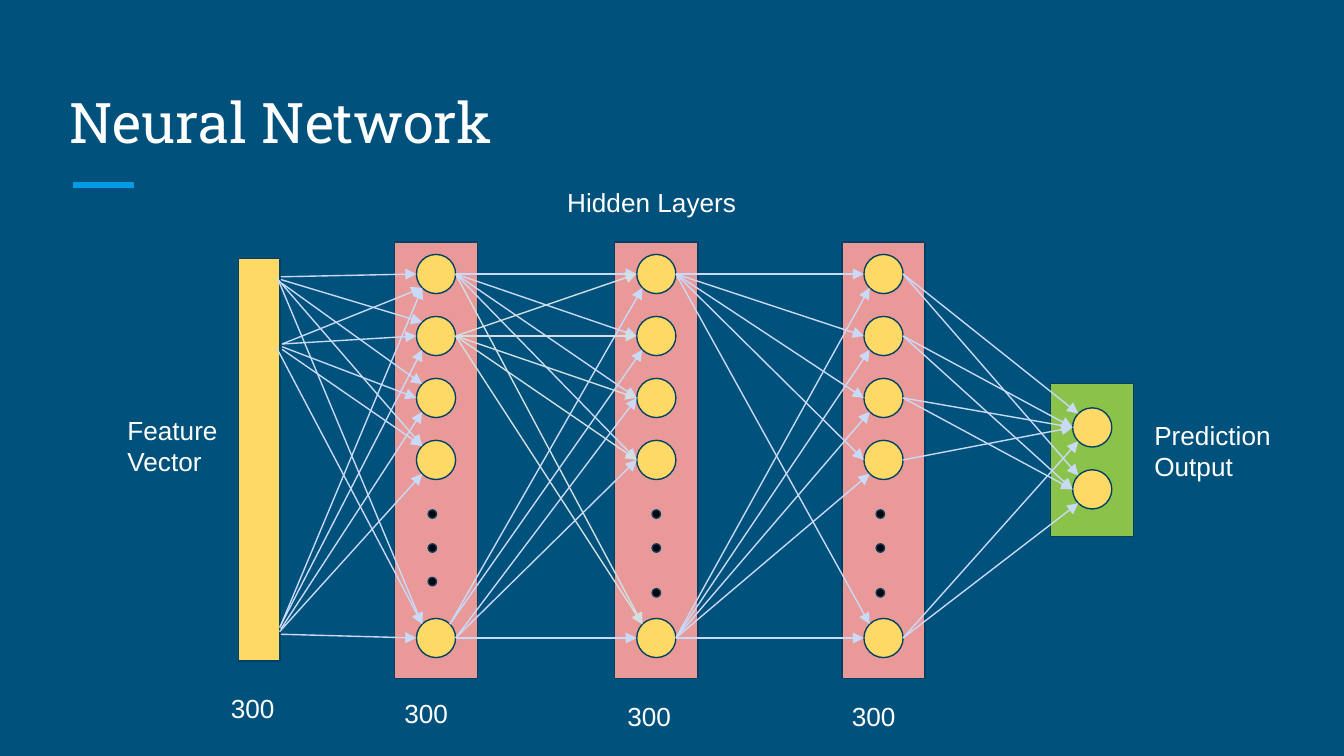
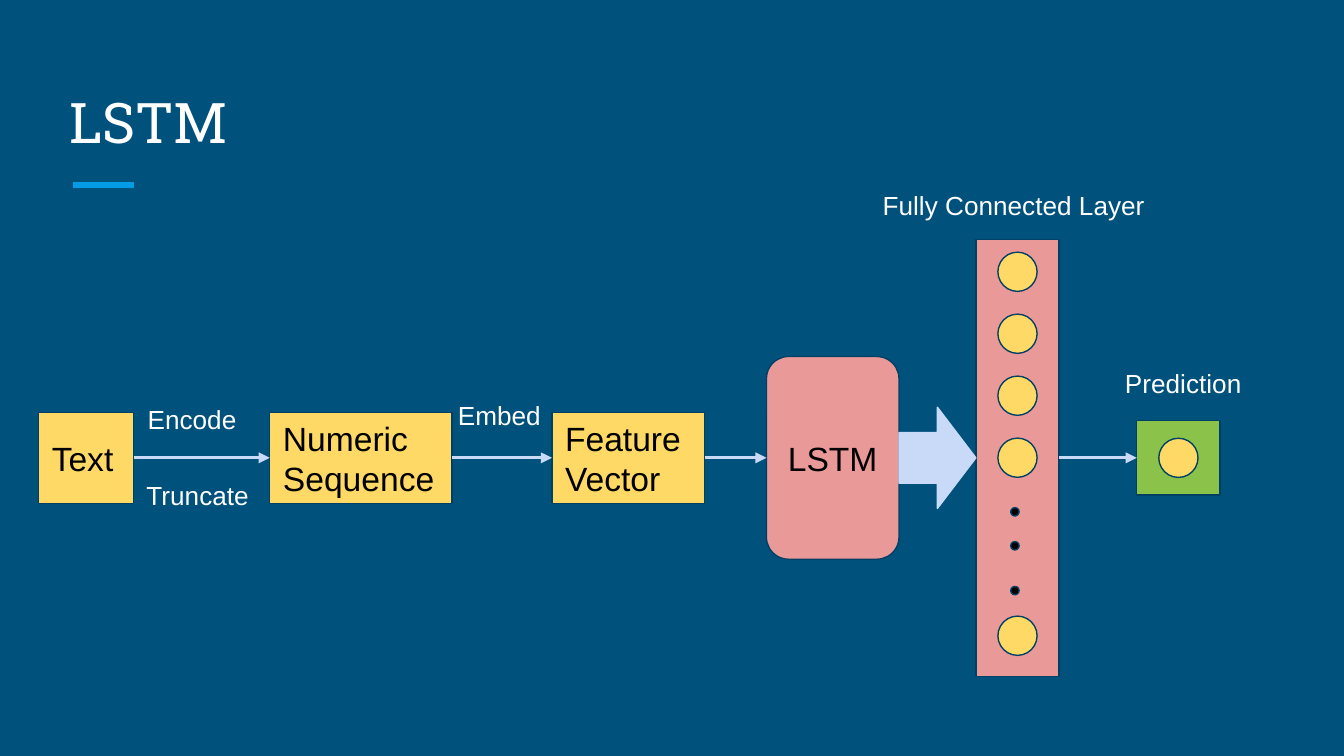
from dataclasses import dataclass
from lxml import etree
from pptx import Presentation
from pptx.dml.color import RGBColor
from pptx.enum.shapes import MSO_CONNECTOR, MSO_SHAPE
from pptx.enum.text import MSO_ANCHOR, PP_ALIGN
from pptx.oxml.ns import qn
from pptx.util import Pt

RECT, OVAL = MSO_SHAPE.RECTANGLE, MSO_SHAPE.OVAL
ROUND, ARROW = MSO_SHAPE.ROUNDED_RECTANGLE, MSO_SHAPE.RIGHT_ARROW
LINE = MSO_CONNECTOR.STRAIGHT
TOP, MIDDLE, BOTTOM = MSO_ANCHOR.TOP, MSO_ANCHOR.MIDDLE, MSO_ANCHOR.BOTTOM
LEFT, CENTER = PP_ALIGN.LEFT, PP_ALIGN.CENTER


@dataclass(frozen=True)
class Theme:
    back: str = "00517C"
    accent: str = "039BE5"
    edge: str = "004065"
    gold: str = "FFD966"
    rose: str = "EA9999"
    green: str = "8BC34A"
    link: str = "C9DAF8"
    pale: str = "D0E0E3"
    white: str = "FFFFFF"
    black: str = "000000"
    head: str = "Roboto Slab"
    body: str = "Arial"
    title: int = 30
    box: int = 18
    label: int = 14
    thin: float = 0.75
    bold: float = 1.5
    rule: float = 3


# Layer geometry: panel size, node and dot sizes, offsets from the panel top
WIDE, TALL = 44.6, 234
NODE, DOT, INSET = 21, 4.5, 7.2
STEP = 33.2
ROWS = [17.2 + STEP * i for i in range(4)] + [212.2]
DIAG = 7.42  # offset of a node's diagonal connection site


class Deck:
    def __init__(self, theme):
        self.theme = theme
        self.prs = Presentation()
        self.prs.slide_width, self.prs.slide_height = Pt(720), Pt(405)

    def start(self, title):
        """New slide with background, title and accent rule."""
        t = self.theme
        self.slide = self.prs.slides.add_slide(self.prs.slide_layouts[6])
        fill = self.slide.background.fill
        fill.solid()
        fill.fore_color.rgb = RGBColor.from_string(t.back)
        self.line((39, 99.2), (72, 99.2), t.accent, t.rule, False)
        box = self.slide.shapes.add_textbox(Pt(30), Pt(36), Pt(659), Pt(54))
        self.style(box, title, t.title, t.white, t.head, BOTTOM)

    def style(self, shape, text, size, color, font, anchor=TOP, align=LEFT):
        frame = shape.text_frame
        frame.text = text
        frame.word_wrap = True
        frame.vertical_anchor = anchor
        frame.margin_left = frame.margin_right = Pt(INSET)
        frame.margin_top = frame.margin_bottom = Pt(INSET)
        for para in frame.paragraphs:
            para.alignment = align
            for run in para.runs:
                run.font.size, run.font.name = Pt(size), font
                run.font.color.rgb = RGBColor.from_string(color)

    def label(self, text, x, y, w, h):
        t = self.theme
        box = self.slide.shapes.add_textbox(Pt(x), Pt(y), Pt(w), Pt(h))
        self.style(box, text, t.label, t.white, t.body)

    def shape(self, kind, x, y, w, h, color, text="", align=LEFT, edge=None):
        t = self.theme
        item = self.slide.shapes.add_shape(kind, Pt(x), Pt(y), Pt(w), Pt(h))
        item.shadow.inherit = False
        item.fill.solid()
        item.fill.fore_color.rgb = RGBColor.from_string(color)
        item.line.color.rgb = RGBColor.from_string(edge or t.edge)
        item.line.width = Pt(t.thin)
        if text:
            self.style(item, text, t.box, t.black, t.body, MIDDLE, align)

    def disc(self, x, y, size, color):
        self.shape(OVAL, x - size / 2, y - size / 2, size, size, color)

    def line(self, a, b, color, width, arrow=True):
        item = self.slide.shapes.add_connector(
            LINE, Pt(a[0]), Pt(a[1]), Pt(b[0]), Pt(b[1]))
        item.line.color.rgb = RGBColor.from_string(color)
        item.line.width = Pt(width)
        props = item._element.spPr
        if arrow:
            etree.SubElement(props.find(qn("a:ln")), qn("a:tailEnd"),
                             type="triangle")
        etree.SubElement(props, qn("a:effectLst"))

    def panel(self, x, y, h, rows, color):
        """Panel with a column of nodes; returns the node centres."""
        self.shape(RECT, x, y, WIDE, h, color)
        nodes = [(x + WIDE / 2, y + row) for row in rows]
        for node in nodes:
            self.disc(*node, NODE, self.theme.gold)
        return nodes

    def layer(self, x, y, shift, last=188):
        """Long layer: a panel whose skipped nodes show as three dots."""
        nodes = self.panel(x, y, TALL, ROWS, self.theme.rose)
        for row in (145.8, 164, last):
            self.disc(x + WIDE / 2 + shift, y + row, DOT, self.theme.black)
        return nodes

    def fan(self, starts, nodes, sites, pale=()):
        """Arrows to nodes; sites: L left, U upper left, D lower left."""
        t = self.theme
        for i, (start, (x, y), site) in enumerate(zip(starts, nodes, sites)):
            end = {"L": (x - NODE / 2, y), "U": (x - DIAG, y - DIAG),
                   "D": (x - DIAG, y + DIAG)}[site]
            self.line(start, end, t.pale if i in pale else t.link, t.thin)


def right(node):
    return node[0] + NODE / 2, node[1]


theme = Theme()
deck = Deck(theme)

# Slide 1: feature vector, hidden layers, output
deck.start("Neural Network")
deck.shape(RECT, 127.8, 138.6, 22.3, 215.6, theme.gold)
one = deck.layer(211.3, 129.6, -2, 182)
two = deck.layer(329.3, 129.6, 0)
three = deck.layer(451, 129.6, -1.7)
out = deck.panel(562.8, 205.4, 82, (23.6, 23.6 + STEP), theme.green)

# Arrows from the feature vector
FEED = [
    ("LUUUU", [(150.5, 148.3), (150.5, 149.8), (151.2, 151.9),
               (148.3, 149), (149, 149.8)]),
    ("DLLUU", [(151.2, 184.3), (151.2, 184.3), (151.2, 185.8),
               (151.2, 187.2), (148.3, 186.5)]),
    ("DDDDL", [(150.5, 334.8), (149.8, 336.2), (150.5, 337),
               (149.8, 338.4), (150.5, 339.8)]),
]
for sites, starts in FEED:
    deck.fan(starts, one, sites)

# Arrows between layers: source row, target sites, pale targets
LINKS = [
    (one, two, [(0, "LLLLU", (4,)), (1, "LLLLU", range(5))]),
    (two, three, [(0, "LLLLU", ()), (4, "DDDDL", ())]),
    (three, out, [(0, "UU", ()), (1, "LL", ()), (2, "LL", ()),
                  (3, "L", ()), (4, "DD", ())]),
]
for source, target, fans in LINKS:
    for row, sites, pale in fans:
        deck.fan([right(source[row])] * len(target), target, sites, pale)
x, y = one[4]
deck.fan([(x + DIAG, y - DIAG)] * 2 + [right(one[4])] * 3, two, "DDLLL")

# Labels
for x, y in ((116.6, 363.6), (209.5, 366.5), (329, 367.8), (449.3, 367.8)):
    deck.label("300", x, y, WIDE, 27.4)
deck.label("Feature Vector", 61.2, 214.6, 64.8, 66)
deck.label("Hidden Layers", 296.8, 92.9, 126, 40)
deck.label("Prediction Output", 611.3, 217.4, 85, 49)

# Slide 2: text pipeline into the LSTM
deck.start("LSTM")
AXIS, HIGH = 245.3, 48.6
for text, x, w in (("Text", 20.7, 50.9), ("Numeric Sequence", 144.5, 97.7),
                   ("Feature Vector", 295.7, 81.8)):
    deck.shape(RECT, x, AXIS - HIGH / 2, w, HIGH, theme.gold, text)
deck.shape(ROUND, 410.6, 191, 71, 108.6, theme.rose, "LSTM", CENTER)
deck.layer(522.8, 128.4, -1.4)
deck.panel(609, AXIS - 20, 40, (20,), theme.green)
deck.shape(ARROW, 481.6, AXIS - 27.1, 41.2, 54.2, theme.link, edge=theme.link)

# Flow arrows
for a, b in ((71.6, 144.5), (242.2, 295.7), (377.5, 410.6), (567.4, 609)):
    deck.line((a, AXIS), (b, AXIS), theme.link, theme.bold)

# Labels
deck.label("Encode", 72, 208.8, 66.2, 21)
deck.label("Truncate", 71.4, 249.8, 74.9, 21)
deck.label("Embed", 238.2, 206.6, 71.3, 21)
deck.label("Fully Connected Layer", 465.8, 94.3, 167.8, 34)
deck.label("Prediction", 595.6, 189.4, 82, 26)

deck.prs.save("out.pptx")
